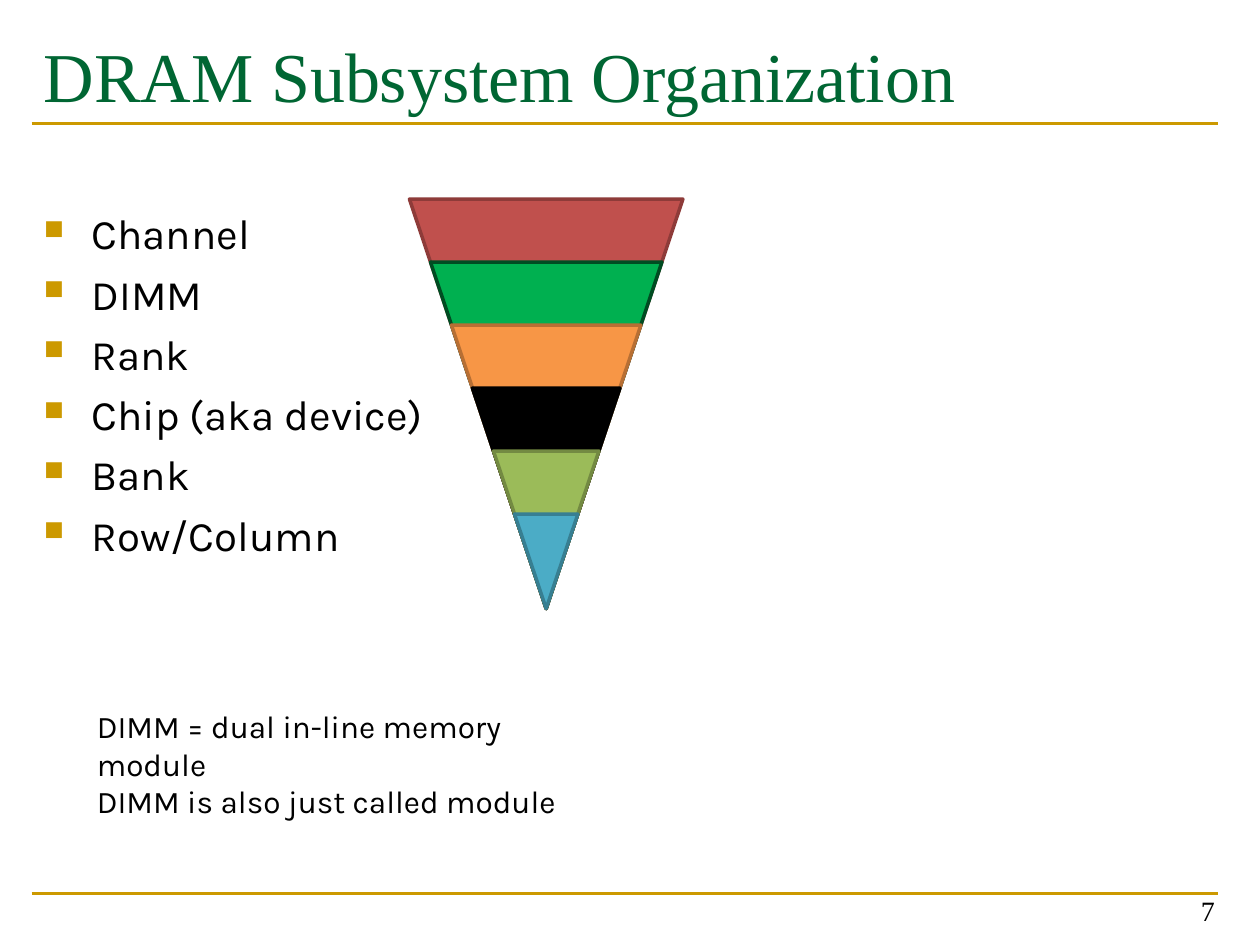
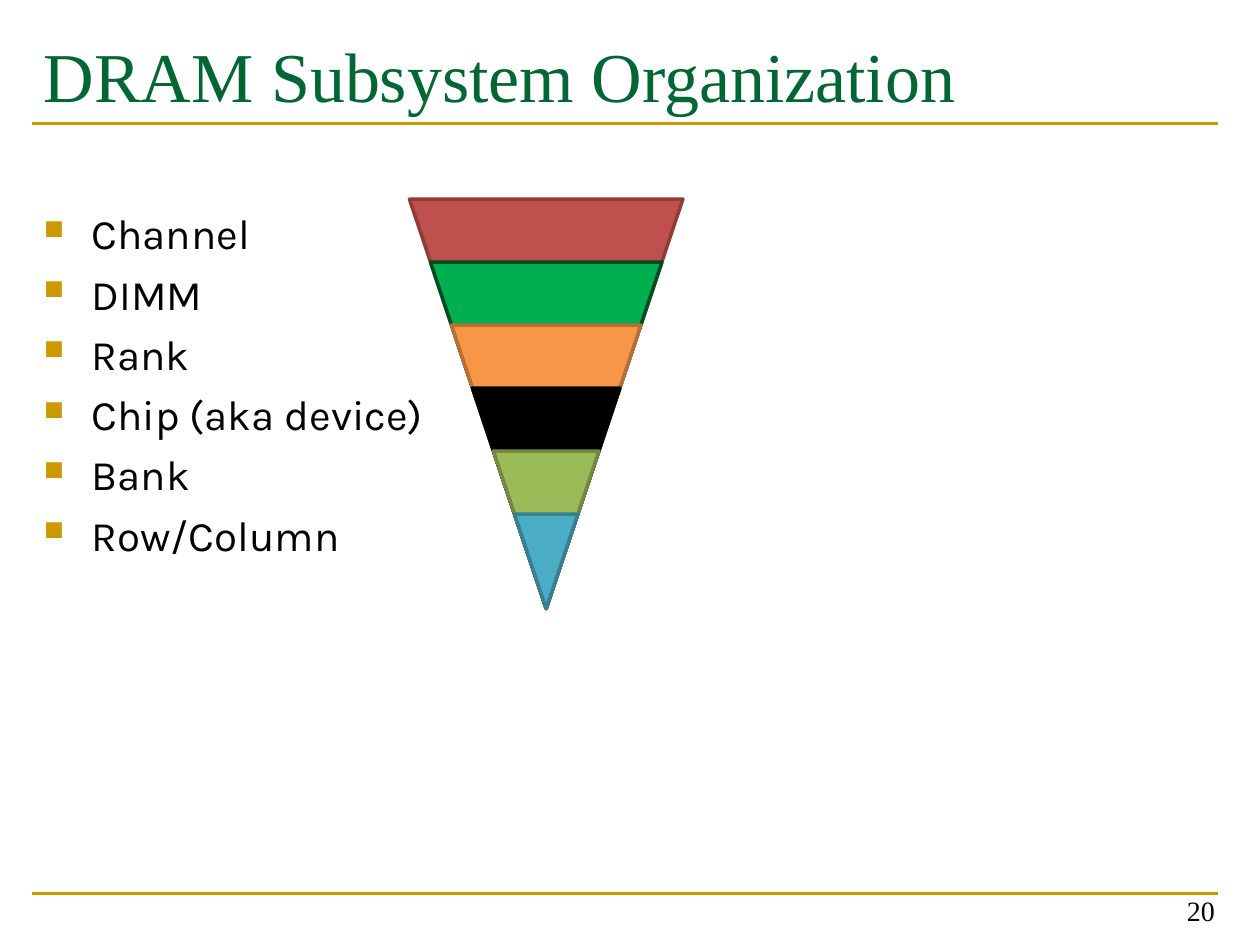
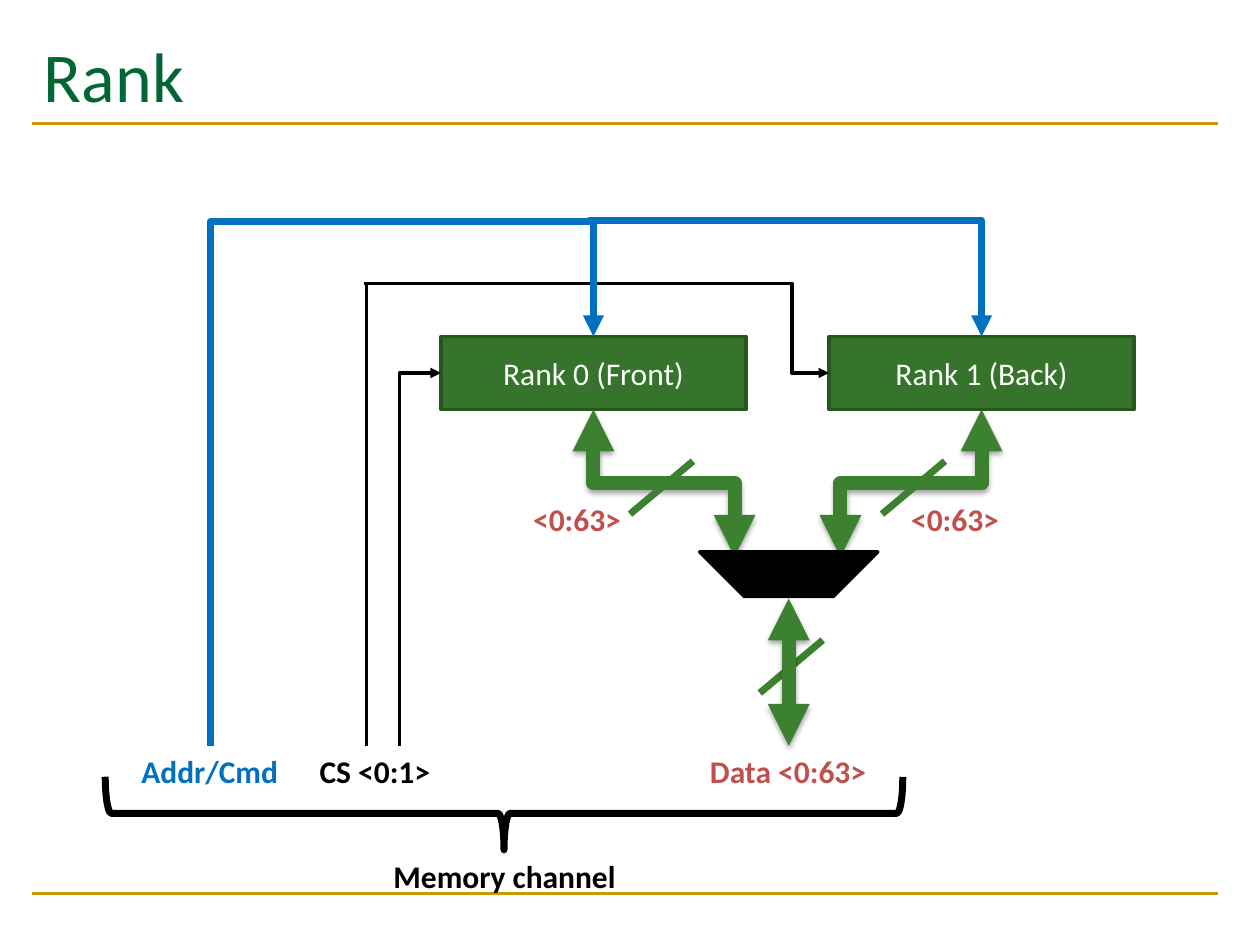
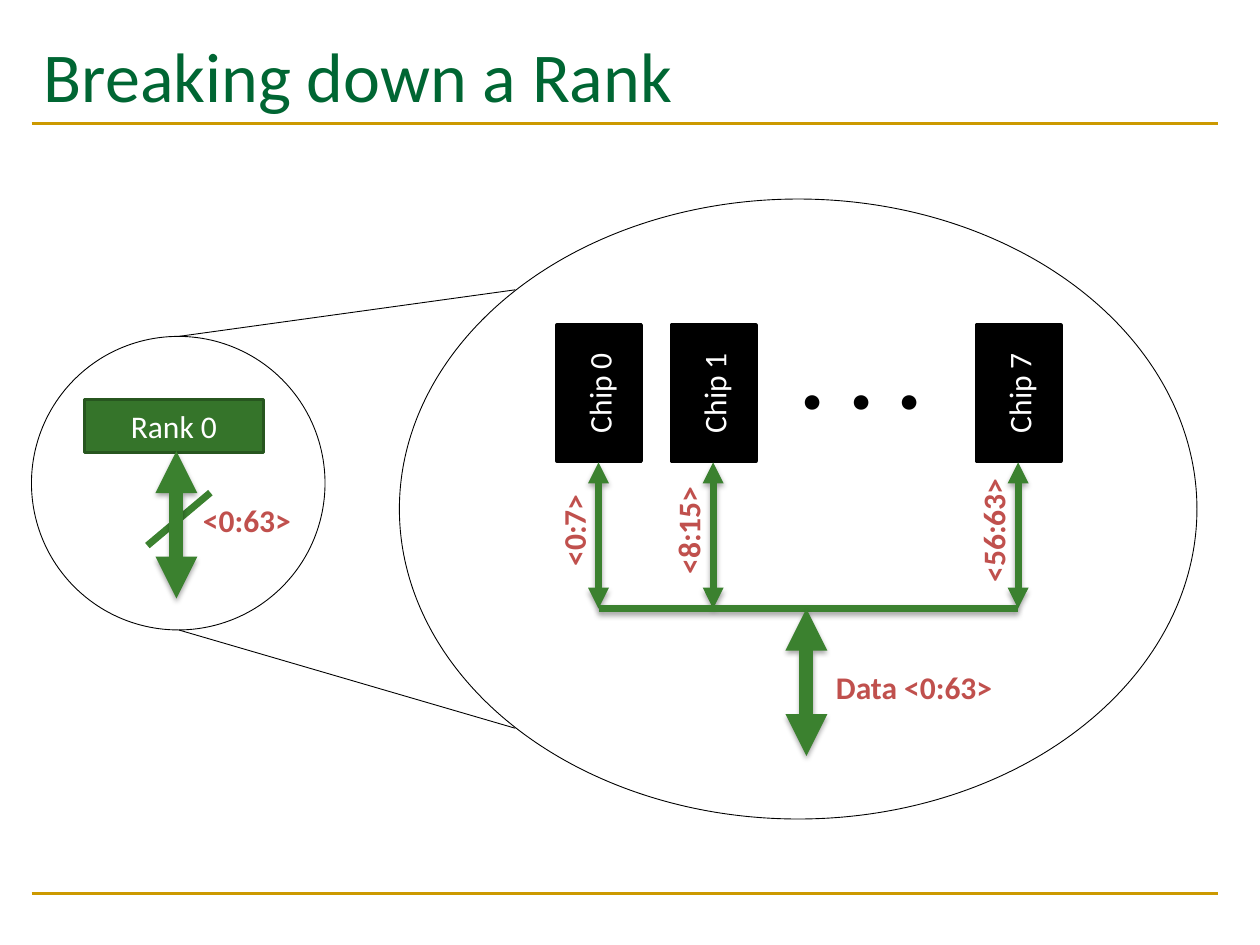
from math import cos, radians, sin

from lxml import etree
from pptx import Presentation
from pptx.dml.color import RGBColor
from pptx.enum.shapes import MSO_CONNECTOR as CONN, MSO_SHAPE as SHAPE
from pptx.enum.text import MSO_ANCHOR as ANCHOR, PP_ALIGN as ALIGN
from pptx.oxml.ns import qn
from pptx.util import Inches, Pt

GOLD, TITLE_GREEN = "CC9900", "006633"
BLACK, WHITE, RED, BLUE = "000000", "FFFFFF", "C0504D", "0070C0"
BOARD, BOARD_EDGE, BUS = "35742A", "27561F", "3B812F"
SERIF, SANS, BODY = "Times New Roman", "Calibri", "Karla"

LEVELS = [  # name, fill, outline
    ("Channel", RED, "8E3B39"),
    ("DIMM", "00B050", "004C22"),
    ("Rank", "F79646", "B76F34"),
    ("Chip (aka device)", BLACK, BLACK),
    ("Bank", "9BBB59", "738A42"),
    ("Row/Column", "4BACC6", "377F92"),
]
DIMM_NOTE = ["DIMM = dual in-line memory module",
             "DIMM is also just called module"]

RANKS = [(3.5, "Rank 0 (Front)"), (6.58, "Rank 1 (Back)")]
RANK_LABELS = [  # text, left, top, width, colour
    ("Data <0:63>", 5.42, 5.92, 1.67, RED),
    ("CS <0:1>", 2.14, 5.92, 1.67, BLACK),
    ("Addr/Cmd", 0.83, 5.92, 1.67, BLUE),
    ("<0:63>", 7.08, 3.92, 1, RED),
    ("<0:63>", 4.08, 3.92, 1, RED),
    ("Memory channel", 2.92, 6.75, 2.17, BLACK),
]
CHIPS = [  # left, name, data bits
    (4.42, "Chip 0", "<0:7>"),
    (5.33, "Chip 1", "<8:15>"),
    (7.75, "Chip 7", "<56:63>"),
]


def rgb(value):
    return RGBColor.from_string(value)


def sub(parent, tag, **attrs):
    return etree.SubElement(parent, qn(tag), {k: str(v) for k, v in attrs.items()})


def write(shape, lines, size, font, color, bold=False, align=ALIGN.LEFT,
          anchor=ANCHOR.TOP, bullets=False):
    tf = shape.text_frame
    tf.word_wrap = True
    tf.vertical_anchor = anchor
    for i, line in enumerate(lines):
        p = tf.paragraphs[0] if i == 0 else tf.add_paragraph()
        p.text = line
        p.alignment = align
        if bullets:
            add_bullet(p)
            if i:
                p.space_before = Pt(5.6)
        p.font.size, p.font.name, p.font.bold = Pt(size), font, bold
        p.font.color.rgb = rgb(color)
    return tf


def add_bullet(p):
    pPr = p._p.get_or_add_pPr()
    pPr.set("marL", str(Inches(0.38)))
    pPr.set("indent", str(-Inches(0.38)))
    sub(sub(pPr, "a:buClr"), "a:srgbClr", val=GOLD)
    sub(pPr, "a:buSzPct", val=65000)
    sub(pPr, "a:buChar", char="■")


def text_box(s, lines, x, y, w, h, *style, **options):
    box = s.shapes.add_textbox(Inches(x), Inches(y), Inches(w), Inches(h))
    return write(box, lines, *style, **options)


def label(s, text, x, y, w, color, size=18, h=0.4, rotation=0):
    """Bold centred caption."""
    box = s.shapes.add_textbox(Inches(x), Inches(y), Inches(w), Inches(h))
    box.rotation = rotation
    write(box, [text], size, SANS, color, bold=True, align=ALIGN.CENTER)


def shape(s, kind, x, y, w, h, fill, edge, width=2, text=None, rotation=0):
    sp = s.shapes.add_shape(kind, Inches(x), Inches(y), Inches(w), Inches(h))
    sp.shadow.inherit = False
    sp.rotation = rotation
    if fill:
        sp.fill.solid()
        sp.fill.fore_color.rgb = rgb(fill)
    else:
        sp.fill.background()
    sp.line.color.rgb = rgb(edge)
    sp.line.width = Pt(width)
    if text:
        write(sp, [text], 18, SANS, WHITE, align=ALIGN.CENTER, anchor=ANCHOR.MIDDLE)
    return sp


def style_line(c, color, width, arrows="", shadow=False):
    """Arrows names the ends that carry a triangle: 'head', 'tail' or both."""
    c.line.color.rgb = rgb(color)
    c.line.width = Pt(width)
    ln = c.line._get_or_add_ln()
    for end in ("head", "tail"):
        if end in arrows:
            sub(ln, f"a:{end}End", type="triangle")
    effects = sub(c._element.spPr, "a:effectLst")
    if shadow:
        cast = sub(effects, "a:outerShdw", blurRad=Pt(3.1), dist=Pt(1.8),
                   dir=90 * 60000, rotWithShape=0)
        sub(sub(cast, "a:srgbClr", val=BLACK), "a:alpha", val=35000)


def line(s, start, end, color, width, arrows="", shadow=False):
    c = s.shapes.add_connector(CONN.STRAIGHT, *map(Inches, start + end))
    style_line(c, color, width, arrows, shadow)


def elbow(s, start, end, turn, color, width, arrows, bend=0.5, shadow=False):
    """Bent connector turned by 'turn' degrees; bend=None gives a single corner."""
    (x1, y1), (x2, y2) = start, end
    co, si = cos(radians(turn)), sin(radians(turn))
    along = (x2 - x1) * co + (y2 - y1) * si
    across = (y2 - y1) * co - (x2 - x1) * si
    w, h = abs(along), abs(across)
    x, y = (x1 + x2 - w) / 2, (y1 + y2 - h) / 2
    c = s.shapes.add_connector(CONN.ELBOW, *map(Inches, (x, y, x + w, y + h)))
    xfrm = c._element.spPr.find(qn("a:xfrm"))
    xfrm.set("rot", str(turn * 60000))
    xfrm.set("flipH", str(int(along < 0)))
    xfrm.set("flipV", str(int(across < 0)))
    geom = c._element.spPr.find(qn("a:prstGeom"))
    if bend is None:
        geom.set("prst", "bentConnector2")
    else:
        guides = geom.find(qn("a:avLst"))
        if guides is None:
            guides = sub(geom, "a:avLst")
        sub(guides, "a:gd", name="adj1", fmla=f"val {round(bend * 100000)}")
    style_line(c, color, width, arrows, shadow)


def data_bus(s, x, top, bottom, width=8):
    line(s, (x, bottom), (x, top), BUS, width, "head tail", shadow=True)


def slash(s, x, y):
    """Bus-width mark with its lower left end at x, y."""
    line(s, (x, y), (x + 0.5, y - 0.42), BUS, 4)


def new_slide(prs, title, font, number=None):
    s = prs.slides.add_slide(prs.slide_layouts[6])
    for y in (7.09, 0.98):
        line(s, (0.25, y), (9.67, y), GOLD, 1.5)
    tf = text_box(s, [title], 0.25, 0.17, 9.42, 1.17, 40, font, TITLE_GREEN,
                  anchor=ANCHOR.MIDDLE)
    tf.margin_bottom = Inches(0.37)
    if number:
        text_box(s, [number], 7.41, 6.91, 2.33, 0.5, 16, SERIF, BLACK,
                 align=ALIGN.RIGHT, anchor=ANCHOR.BOTTOM)
    return s


def organization_slide(prs, number, note=None):
    s = new_slide(prs, "DRAM Subsystem Organization", SERIF, number)
    tf = text_box(s, [name for name, _, _ in LEVELS], 0.25, 1.09, 9.42, 5.68,
                  24, BODY, BLACK, bullets=True)
    tf.margin_top = Inches(0.56)
    for i, (_, fill, edge) in enumerate(LEVELS):
        shape(s, SHAPE.FLOWCHART_MERGE, 3.25 + i / 6, 1.58 + i / 2,
              2.17 - i / 3, 3.25 - i / 2, fill, edge)
    if note:
        text_box(s, note, 0.67, 5.56, 4.32, 0.71, 18, BODY, BLACK)


def rank_slide(prs):
    s = new_slide(prs, "Rank", SANS)
    for x, name in RANKS:
        shape(s, SHAPE.RECTANGLE, x, 2.67, 2.42, 0.58, BOARD, BOARD_EDGE, text=name)
    slash(s, 6.03, 5.5)
    data_bus(s, 6.26, 4.75, 5.92)
    # chip select
    elbow(s, (3.5, 2.96), (3.17, 5.92), 180, BLACK, 2, "head", bend=None)
    elbow(s, (6.58, 2.96), (2.89, 2.25), 180, BLACK, 2, "head", bend=0.08)
    line(s, (2.91, 2.25), (2.91, 5.92), BLACK, 2)
    # address and command
    elbow(s, (4.71, 2.67), (1.67, 5.92), 270, BLUE, 4, "head", bend=-0.28)
    elbow(s, (7.79, 2.67), (4.67, 1.75), 270, BLUE, 4, "head", bend=None)
    # data paths into the multiplexer
    for mux_x, rank_x in ((5.83, 4.71), (6.67, 7.79)):
        elbow(s, (mux_x, 4.42), (rank_x, 3.25), 270, BUS, 8, "head tail", shadow=True)
    shape(s, SHAPE.DIAGONAL_STRIPE, 5.76, 3.88, 1, 1, BLACK, BLACK, rotation=225)
    for x in (5, 7):
        slash(s, x, 4.08)
    shape(s, SHAPE.RIGHT_BRACE, 3.71, 3.29, 0.58, 6.33, None, BLACK, 4, rotation=90)
    for text, x, y, w, color in RANK_LABELS:
        label(s, text, x, y, w, color)


def breakdown_slide(prs):
    s = new_slide(prs, "Breaking down a Rank", SANS)
    shape(s, SHAPE.RECTANGLE, 0.67, 3.17, 1.42, 0.42, BOARD, BOARD_EDGE, text="Rank 0")
    slash(s, 1.17, 4.33)
    data_bus(s, 1.4, 3.58, 4.75)
    label(s, "<0:63>", 1.42, 3.93, 1.08, RED)
    # zoom from the rank to its chips
    line(s, (1.42, 2.67), (4.09, 2.3), BLACK, 0.5)
    line(s, (1.42, 5), (4.09, 5.78), BLACK, 0.5)
    shape(s, SHAPE.OVAL, 0.25, 2.67, 2.33, 2.33, None, BLACK, 0.5)
    for x, name, bits in CHIPS:
        chip = shape(s, SHAPE.RECTANGLE, x, 2.58, 0.67, 1.08, BLACK, BLACK, text=name)
        chip.text_frame._txBody.bodyPr.set("vert", "vert270")
        data_bus(s, x + 0.33, 3.67, 4.83, width=4)
        label(s, bits, x - 0.41, 4.01, 1.08, RED, rotation=270)
    label(s, ". . .", 6.17, 2.42, 1.33, BLACK, size=56, h=1.04)
    line(s, (4.75, 4.83), (8.08, 4.83), BUS, 4, shadow=True)
    data_bus(s, 6.4, 4.83, 6)
    label(s, "Data <0:63>", 6.42, 5.25, 1.67, RED)
    shape(s, SHAPE.OVAL, 3.17, 1.58, 6.33, 4.92, None, BLACK, 0.5)


def main():
    prs = Presentation()
    prs.slide_width, prs.slide_height = Inches(10), Inches(7.5)
    organization_slide(prs, "7", DIMM_NOTE)
    organization_slide(prs, "20")
    rank_slide(prs)
    breakdown_slide(prs)
    prs.save("out.pptx")


if __name__ == "__main__":
    main()
